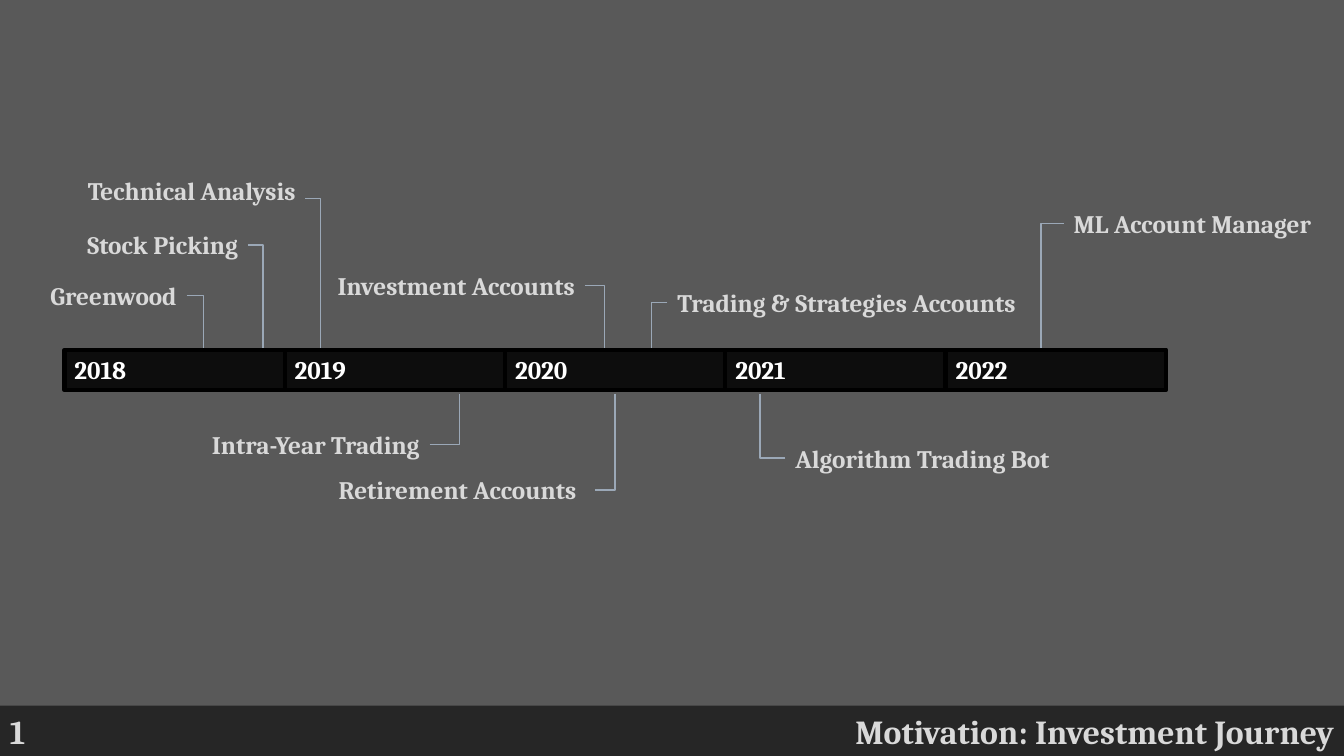
"""Build the investment journey timeline slide."""
from pptx import Presentation
from pptx.dml.color import RGBColor
from pptx.enum.shapes import MSO_CONNECTOR, MSO_SHAPE
from pptx.enum.text import MSO_ANCHOR, MSO_AUTO_SIZE, PP_ALIGN
from pptx.oxml.ns import qn
from pptx.util import Inches, Pt
from lxml import etree

RECT, ELBOW = MSO_SHAPE.RECTANGLE, MSO_CONNECTOR.ELBOW
LEFT, RIGHT = PP_ALIGN.LEFT, PP_ALIGN.RIGHT
TOP, MIDDLE = MSO_ANCHOR.TOP, MSO_ANCHOR.MIDDLE
GROW = MSO_AUTO_SIZE.SHAPE_TO_FIT_TEXT
HEX = {"back": "595959", "foot": "262626", "text": "D9D9D9", "year": "FFFFFF",
       "bar": "0D0D0D", "edge": "000000", "line": "9BA8B7"}
INK = {name: RGBColor.from_string(code) for name, code in HEX.items()}

deck = Presentation()
deck.slide_width, deck.slide_height = Inches(13.33), Inches(7.5)
slide = deck.slides.add_slide(deck.slide_layouts[5])
slide.background.fill.solid()
slide.background.fill.fore_color.rgb = INK["back"]
shapes = slide.shapes


def place(x, y, wide=0, high=0):
    """Turn percent shares of the slide into lengths."""
    col, row = deck.slide_width / 100, deck.slide_height / 100
    return [round(n) for n in (x * col, y * row, wide * col, high * row)]


def write(shape, text, size=18, ink="text", align=LEFT, anchor=TOP):
    """Fill a shape with one bold line of text."""
    frame = shape.text_frame
    frame.word_wrap = True
    frame.auto_size = GROW
    frame.vertical_anchor = anchor
    para = frame.paragraphs[0]
    para.text = text
    para.alignment = align
    font = para.font
    font.name, font.size, font.bold = "Cambria", Pt(size), True
    font.color.rgb = INK[ink]


foot = shapes.add_shape(RECT, *place(0, 93.33, 100, 6.67))
foot.shadow.inherit = False
foot.fill.solid()
foot.fill.fore_color.rgb = INK["foot"]
foot.line.fill.background()
title = shapes.title
title.left, title.top, title.width, title.height = place(46.1, 93.33, 53.9, 6.67)
write(title, "Motivation: Investment Journey", size=24, align=RIGHT)
foot._element.addnext(title._element)
write(shapes.add_textbox(*place(0, 93.33, 28, 6.67)), "1", size=24)

start, step, top, high = 4.8, 16.39, 46.25, 5.35
for i in range(5):
    year = shapes.add_shape(RECT, *place(start + i * step, top, step, high))
    year.shadow.inherit = False
    year.fill.solid()
    year.fill.fore_color.rgb = INK["bar"]
    year.line.color.rgb = INK["edge"]
    year.line.width = Pt(3)
    write(year, str(2018 + i), ink="year", anchor=MIDDLE)

events = [
    ("Greenwood", 13.88, 39.07, 15.15, 12.7, high, RIGHT),
    ("Stock Picking", 18.45, 32.4, 19.58, 17.2, high, RIGHT),
    ("Technical Analysis", 22.73, 26.27, 23.86, 19, 7.6, RIGHT),
    ("Intra-Year Trading", 31.96, 58.8, 34.21, 19, high, RIGHT),
    ("Investment Accounts", 43.51, 37.8, 45, 21.9, high, RIGHT),
    ("Retirement Accounts", 44.26, 64.8, 45.76, 19.8, high, LEFT),
    ("Trading & Strategies Accounts", 49.66, 40, 48.46, 27.8, high, LEFT),
    ("Algorithm Trading Bot", 58.44, 60.6, 56.56, 27.8, high, LEFT),
    ("ML Account Manager", 79.15, 29.6, 77.46, 20, high, LEFT),
]
for text, x, y, turn, wide, tall, align in events:
    left = x - wide if turn > x else x
    box = shapes.add_textbox(*place(left, y - tall / 2, wide, tall))
    write(box, text, align=align)
    end = 46.05 if y < top else 52.1
    line = shapes.add_connector(ELBOW, *place(x, y)[:2], *place(turn, end)[:2])
    line.line.color.rgb = INK["line"]
    line.line.width = Pt(1)
    props = line._element.spPr
    props.find(qn("a:prstGeom")).set("prst", "bentConnector2")
    etree.SubElement(props, qn("a:effectLst"))

deck.save("out.pptx")
